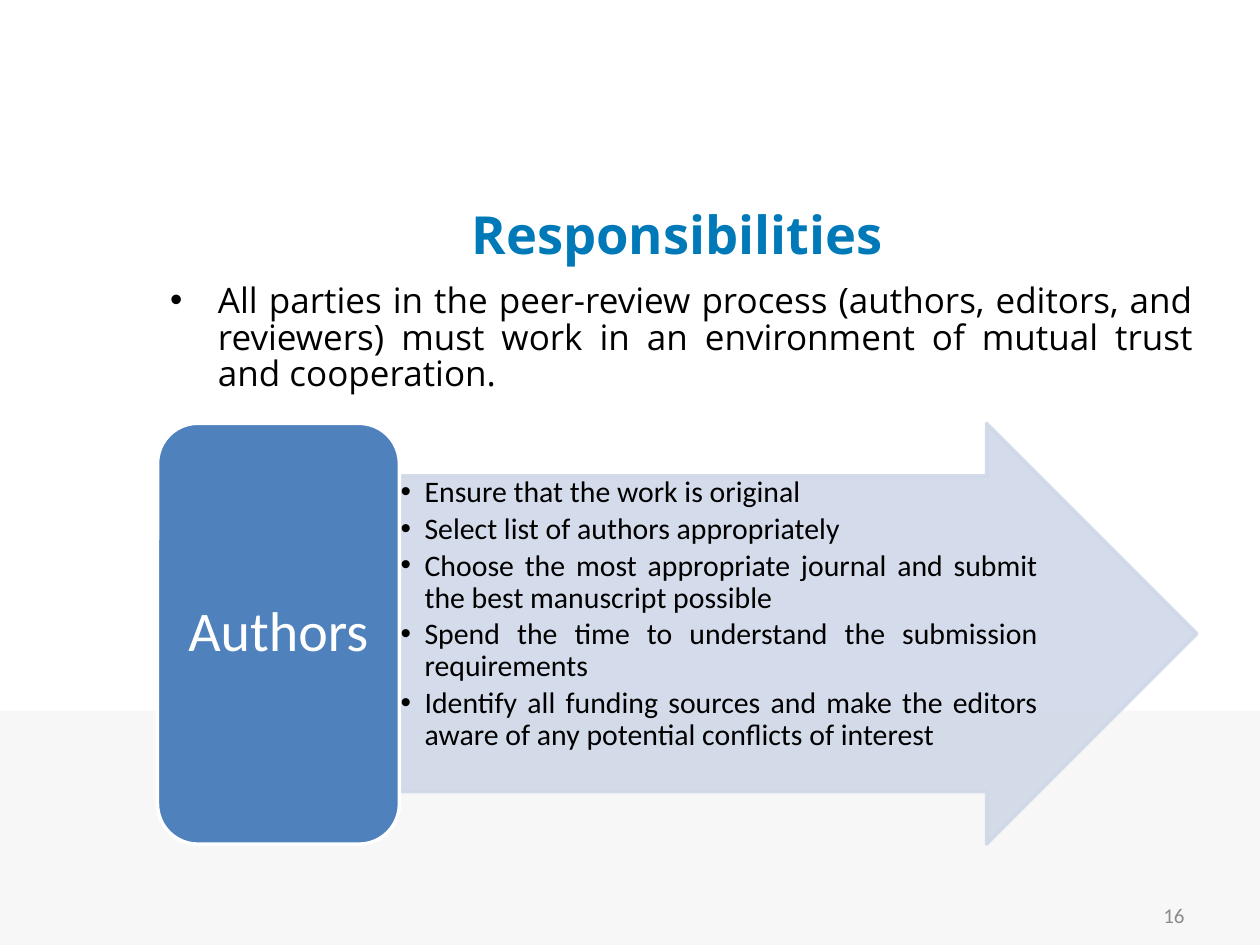
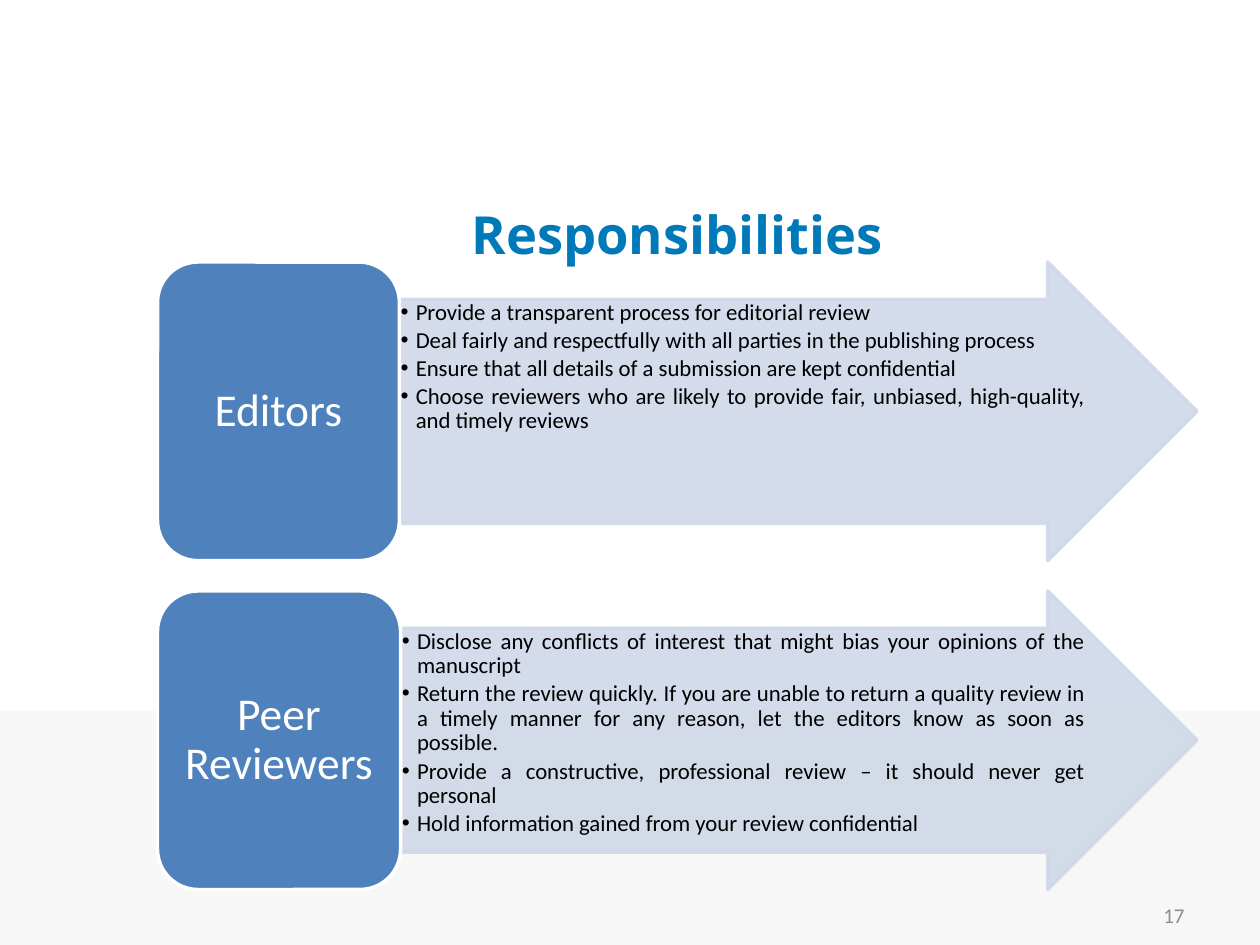
from dataclasses import dataclass

from lxml import etree
from pptx import Presentation
from pptx.dml.color import RGBColor
from pptx.enum.shapes import MSO_SHAPE
from pptx.enum.text import MSO_ANCHOR, MSO_AUTO_SIZE, PP_ALIGN
from pptx.oxml.ns import qn
from pptx.util import Pt

RECTANGLE = MSO_SHAPE.RECTANGLE
ARROW = MSO_SHAPE.RIGHT_ARROW
ROUNDED = MSO_SHAPE.ROUNDED_RECTANGLE
TOP, MIDDLE = MSO_ANCHOR.TOP, MSO_ANCHOR.MIDDLE
CENTER, RIGHT, JUSTIFY = PP_ALIGN.CENTER, PP_ALIGN.RIGHT, PP_ALIGN.JUSTIFY
FIXED_SIZE = MSO_AUTO_SIZE.NONE
PX = 9144


@dataclass(frozen=True)
class Theme:
    heading_font: str = "Open Sans"
    text_font: str = "Calibri"
    title: str = "0079B8"
    text: str = "000000"
    number: str = "8C8C8C"
    band: str = "F7F7F7"
    arrow: str = "D0D8E8"
    card: str = "4F81BD"
    white: str = "FFFFFF"
    title_size: int = 30
    body_size: int = 20
    number_size: int = 12


THEME = Theme()


def write(box, *lines, font=THEME.text_font, size=THEME.body_size, color=THEME.text,
          bold=False, align=CENTER, anchor=MIDDLE, insets=(10, 5), spacing=None,
          after=0, hanging=0):
    frame = box.text_frame
    frame.word_wrap = True
    frame.auto_size = FIXED_SIZE
    frame.vertical_anchor = anchor
    frame.margin_left = frame.margin_right = insets[0] * PX
    frame.margin_top = frame.margin_bottom = insets[1] * PX
    for index, line in enumerate(lines):
        para = frame.add_paragraph() if index else frame.paragraphs[0]
        if hanging:
            properties = para._p.get_or_add_pPr()
            properties.set("marL", str(hanging * PX))
            properties.set("indent", str(-hanging * PX))
            etree.SubElement(properties, qn("a:buFont")).set("typeface", "Arial")
            etree.SubElement(properties, qn("a:buChar")).set("char", "•")
        para.alignment = align
        para.space_before = Pt(0)
        para.space_after = Pt(after)
        if spacing:
            para.line_spacing = spacing
        span = para.add_run()
        span.text = line
        span.font.name = font
        span.font.size = Pt(size)
        span.font.bold = bold
        span.font.color.rgb = RGBColor.from_string(color)


def add_block(page, kind, place, fill, outline=None, opacity=100):
    block = page.shapes.add_shape(kind, *(length * PX for length in place))
    block.shadow.inherit = False
    block.fill.solid()
    block.fill.fore_color.rgb = RGBColor.from_string(fill)
    if outline:
        block.line.color.rgb = RGBColor.from_string(outline)
        block.line.width = Pt(2)
    else:
        block.line.fill.background()
    if opacity < 100:
        for color in block.element.spPr.iter(qn("a:srgbClr")):
            etree.SubElement(color, qn("a:alpha")).set("val", str(opacity * 1000))
    return block


SLIDES = [
    {
        "number": "16",
        "layout": 1,
        "intro": "All parties in the peer-review process (authors, editors, and reviewers) "
                 "must work in an environment of mutual trust and cooperation.",
        "label_size": 32, "label_insets": (13, 7), "list_size": 17, "hanging": 19,
        "roles": [
            ("Authors", 336, 334, 192, [
                "Ensure that the work is original",
                "Select list of authors appropriately",
                "Choose the most appropriate journal and submit the best manuscript possible",
                "Spend the time to understand the submission requirements",
                "Identify all funding sources and make the editors aware of any potential "
                "conflicts of interest",
            ]),
        ],
    },
    {
        "number": "17",
        "layout": 5,
        "intro": None,
        "label_size": 26, "label_insets": (11, 5), "list_size": 13, "hanging": 12,
        "roles": [
            ("Editors", 208, 237, 192, [
                "Provide a transparent process for editorial review",
                "Deal fairly and respectfully with all parties in the publishing process",
                "Ensure that all details of a submission are kept confidential",
                "Choose reviewers who are likely to provide fair, unbiased, high-quality, "
                "and timely reviews",
            ]),
            ("Peer Reviewers", 469, 237, 193, [
                "Disclose any conflicts of interest that might bias your opinions of the "
                "manuscript",
                "Return the review quickly. If you are unable to return a quality review in "
                "a timely manner for any reason, let the editors know as soon as possible.",
                "Provide a constructive, professional review – it should never get personal",
                "Hold information gained from your review confidential",
            ]),
        ],
    },
]

LEFT, RIGHT_EDGE = 125, 950

deck = Presentation()
deck.slide_width, deck.slide_height = 1000 * PX, 750 * PX

for content in SLIDES:
    page = deck.slides.add_slide(deck.slide_layouts[content["layout"]])
    if content is SLIDES[0]:
        band = add_block(page, RECTANGLE, (0, 564, 1000, 186), THEME.band)
        deck.slide_master.shapes.element.insert(2, band.element)

    title = page.shapes.title
    title.left, title.top = LEFT * PX, 150 * PX
    title.width, title.height = (RIGHT_EDGE - LEFT) * PX, 70 * PX
    write(title, "Responsibilities", font=THEME.heading_font, size=THEME.title_size,
          color=THEME.title, bold=True)

    number = page.shapes.add_textbox(717 * PX, 706 * PX, 233 * PX, 40 * PX)
    write(number, content["number"], size=THEME.number_size, color=THEME.number, align=RIGHT)

    if content["intro"]:
        body = page.placeholders[1]
        body.left, body.top = LEFT * PX, 220 * PX
        body.width, body.height = 832 * PX, 488 * PX
        write(body, content["intro"], font=THEME.heading_font, align=JUSTIFY,
              anchor=TOP, spacing=0.88, hanging=38)

    for role, top, height, width, duties in content["roles"]:
        start = LEFT + width
        arrow = add_block(page, ARROW, (start, top, RIGHT_EDGE - start, height),
                          THEME.arrow, outline=THEME.arrow, opacity=90)
        arrow.adjustments[0] = 0.75
        arrow.adjustments[1] = 0.5
        write(arrow, *duties, size=content["list_size"], align=JUSTIFY, anchor=TOP,
              insets=(1, 1), spacing=0.9, after=content["list_size"] * 0.15,
              hanging=content["hanging"])
        card = add_block(page, ROUNDED, (LEFT, top, width, height), THEME.card,
                         outline=THEME.white)
        write(card, role, size=content["label_size"], color=THEME.white,
              insets=content["label_insets"], spacing=0.9)

deck.save("out.pptx")
